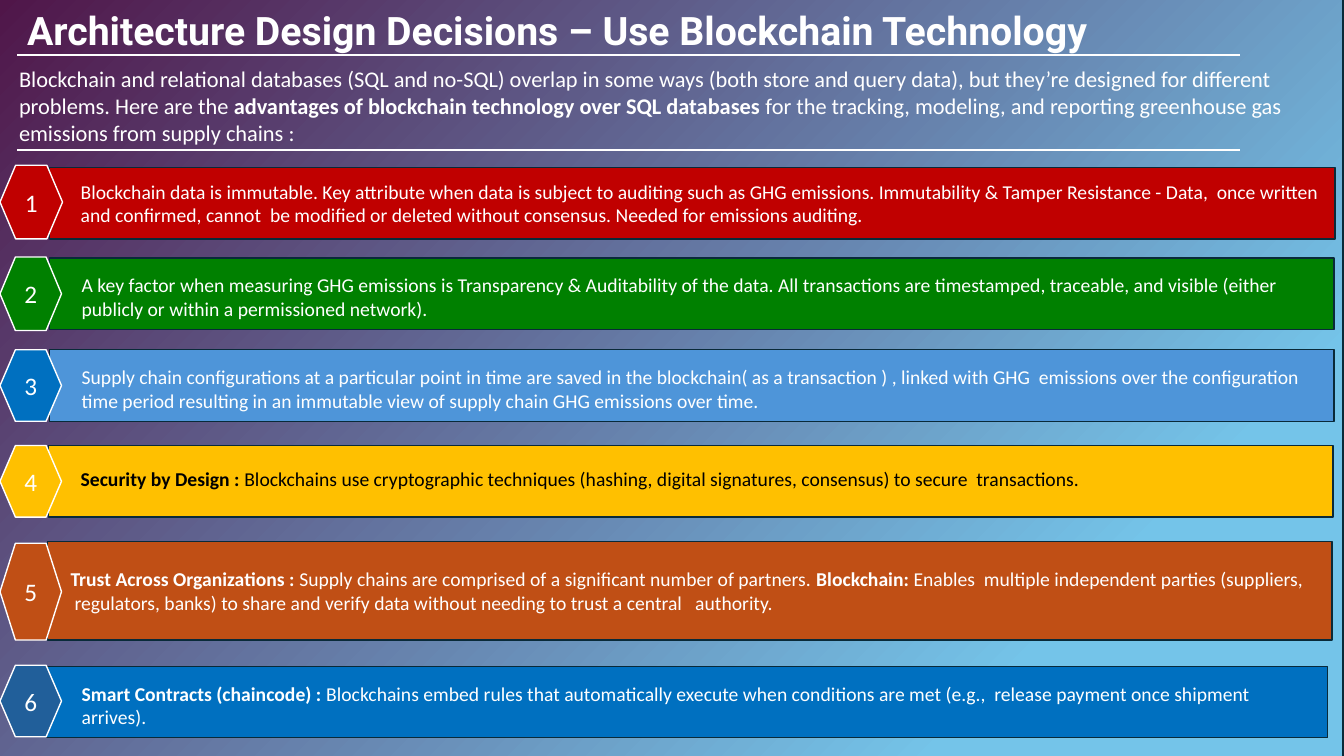
"""Build the slide on the advantages of blockchain over SQL databases."""
from dataclasses import dataclass

from lxml import etree
from pptx import Presentation
from pptx.dml.color import RGBColor
from pptx.enum.shapes import MSO_CONNECTOR, MSO_SHAPE
from pptx.enum.text import MSO_ANCHOR, MSO_AUTO_SIZE, PP_ALIGN
from pptx.oxml import parse_xml
from pptx.oxml.ns import nsdecls, qn
from pptx.util import Pt

EMU_PER_PX = 9144
RECTANGLE, HEXAGON = MSO_SHAPE.RECTANGLE, MSO_SHAPE.HEXAGON
STRAIGHT = MSO_CONNECTOR.STRAIGHT
MIDDLE, TOP = MSO_ANCHOR.MIDDLE, MSO_ANCHOR.TOP
LEFT, CENTER = PP_ALIGN.LEFT, PP_ALIGN.CENTER
FIT_TEXT = MSO_AUTO_SIZE.SHAPE_TO_FIT_TEXT


@dataclass(frozen=True)
class Theme:
    """Colours, fonts and type sizes of the slide."""
    white: str = "FFFFFF"
    black: str = "000000"
    outline: str = "092A39"
    red: str = "C00000"
    green: str = "008000"
    sky: str = "4E95D9"
    blue: str = "0070C0"
    navy: str = "215F9A"
    amber: str = "FFC000"
    rust: str = "C04F15"
    backdrop: tuple = ((20, "74C4E9"), (100, "501649"), (100, "A2D8F0"))
    heading_font: str = "Roboto"
    body_font: str = "Calibri"
    title_size: int = 28
    number_size: int = 18
    intro_size: int = 16
    body_size: int = 14


THEME = Theme()


@dataclass(frozen=True)
class Advantage:
    """One numbered bar: boxes, colours, text start, text drop and lines."""
    bar: tuple
    badge: tuple
    bar_color: str
    badge_color: str
    text_left: int
    lines: tuple
    drop: int = 0
    hang: int = 0
    ink: str = THEME.white


ADVANTAGES = (
    Advantage((49, 166, 1275, 71), (0, 164, 62, 73), THEME.red, THEME.red, 80, (
        "Blockchain data is immutable. Key attribute when data is subject to auditing such as GHG emissions. "
        "Immutability & Tamper Resistance - Data,  once written",
        "and confirmed, cannot  be modified or deleted without consensus. Needed for emissions auditing.")),
    Advantage((49, 256, 1274, 71), (0, 255, 61, 73), THEME.green, THEME.green, 81, (
        "A key factor when measuring GHG emissions is Transparency & Auditability of the data. "
        "All transactions are timestamped, traceable, and visible (either",
        "publicly or within a permissioned network)."), drop=3),
    Advantage((49, 347, 1274, 71), (0, 347, 61, 71), THEME.sky, THEME.blue, 81, (
        "Supply chain configurations at a particular point in time are saved in the blockchain"
        "( as a transaction ) , linked with GHG  emissions over the configuration",
        "time period resulting in an immutable view of supply chain GHG emissions over time."), drop=3),
    Advantage((48, 442, 1274, 71), (0, 442, 61, 71), THEME.amber, THEME.amber, 80, (
        "**Security by Design : **Blockchains use cryptographic techniques "
        "(hashing, digital signatures, consensus) to secure  transactions.",), drop=-3, ink=THEME.black),
    Advantage((47, 537, 1274, 98), (0, 539, 61, 96), THEME.rust, THEME.rust, 70, (
        "**Trust Across Organizations : **Supply chains are comprised of a significant number of partners. "
        "**Blockchain:** Enables  multiple independent parties (suppliers,",
        "regulators, banks) to share and verify data without needing to trust a central   authority."), hang=4),
    Advantage((46, 661, 1271, 71), (0, 660, 61, 71), THEME.blue, THEME.navy, 81, (
        "**Smart Contracts (chaincode) : **Blockchains embed rules that automatically execute "
        "when conditions are met (e.g.,  release payment once shipment",
        "arrives)."), drop=3),
)

TITLE = "**Architecture Design Decisions – Use Blockchain Technology**"
INTRO = (
    "Blockchain and relational databases (SQL and no-SQL) overlap in some ways (both store and query data), "
    "but they’re designed for different problems. Here are the "
    "**advantages of blockchain technology over SQL databases **"
    "for the tracking, modeling, and reporting greenhouse gas emissions from supply chains :"
)


def px(length):
    """Turn px into EMU."""
    return length * EMU_PER_PX


def rgb(color):
    """Turn a hex string into a colour."""
    return RGBColor.from_string(color)


def write(frame, lines, size, color, font=THEME.body_font, align=LEFT, anchor=TOP,
          insets=(10, 5, 10, 5), hang=0):
    """Fill a text frame with lines, where ** switches bold on and off."""
    frame.word_wrap = True
    frame.vertical_anchor = anchor
    frame.margin_left, frame.margin_top, frame.margin_right, frame.margin_bottom = map(px, insets)
    for index, line in enumerate(lines):
        paragraph = frame.add_paragraph() if index else frame.paragraphs[0]
        paragraph.alignment = align
        if index and hang:
            paragraph._p.get_or_add_pPr().set("marL", str(px(hang)))
        paragraph.font.size = Pt(size)
        paragraph.font.name = font
        paragraph.font.color.rgb = rgb(color)
        for part, text in enumerate(line.split("**")):
            if text:
                run = paragraph.add_run()
                run.text = text
                if part % 2:
                    run.font.bold = True


def add_block(slide, preset, box, fill, outline):
    """Add a flat outlined shape."""
    block = slide.shapes.add_shape(preset, *map(px, box))
    block.shadow.inherit = False
    block.fill.solid()
    block.fill.fore_color.rgb = rgb(fill)
    block.line.color.rgb = rgb(outline)
    block.line.width = Pt(1)
    return block


def add_backdrop(slide):
    """Add the circular gradient behind everything, centred bottom right."""
    backdrop = add_block(slide, RECTANGLE, (-1, -1, 1333, 767), THEME.white, THEME.outline)
    stops = "".join(f'<a:gs pos="{stop * 1000}"><a:srgbClr val="{color}"/></a:gs>'
                    for stop, color in THEME.backdrop)
    gradient = parse_xml(
        f'<a:gradFill {nsdecls("a")} rotWithShape="1"><a:gsLst>{stops}</a:gsLst>'
        '<a:path path="circle"><a:fillToRect l="100000" t="100000"/></a:path></a:gradFill>')
    properties = backdrop._element.spPr
    properties.replace(properties.find(qn("a:solidFill")), gradient)


def add_text(slide, box, text, size, font=THEME.body_font):
    """Add a white text box that grows with its text."""
    textbox = slide.shapes.add_textbox(*map(px, box))
    write(textbox.text_frame, (text,), size, THEME.white, font)
    textbox.text_frame.auto_size = FIT_TEXT


def add_rule(slide, top):
    """Add a white horizontal rule."""
    rule = slide.shapes.add_connector(STRAIGHT, px(17), px(top), px(1230), px(top))
    rule.line.color.rgb = rgb(THEME.white)
    rule.line.width = Pt(1.5)
    etree.SubElement(rule._element.spPr, qn("a:effectLst"))


def add_advantage(slide, number, advantage):
    """Add a bar with its numbered hexagon."""
    bar = add_block(slide, RECTANGLE, advantage.bar, advantage.bar_color, THEME.outline)
    insets = (advantage.text_left - advantage.bar[0], 5 + advantage.drop, 5, 5 - advantage.drop)
    write(bar.text_frame, advantage.lines, THEME.body_size, advantage.ink,
          anchor=MIDDLE, insets=insets, hang=advantage.hang)
    badge = add_block(slide, HEXAGON, advantage.badge, advantage.badge_color, THEME.white)
    write(badge.text_frame, (str(number),), THEME.number_size, THEME.white,
          align=CENTER, anchor=MIDDLE, insets=(0, 0, 0, 0))


def main():
    """Build and save the slide."""
    deck = Presentation()
    deck.slide_width, deck.slide_height = px(1333), px(750)
    slide = deck.slides.add_slide(deck.slide_layouts[6])
    add_backdrop(slide)
    add_text(slide, (9, 60, 1288, 91), INTRO, THEME.intro_size)
    add_text(slide, (17, 1, 1288, 57), TITLE, THEME.title_size, THEME.heading_font)
    for top in (55, 149):
        add_rule(slide, top)
    for number, advantage in enumerate(ADVANTAGES, start=1):
        add_advantage(slide, number, advantage)
    deck.save("out.pptx")


if __name__ == "__main__":
    main()
